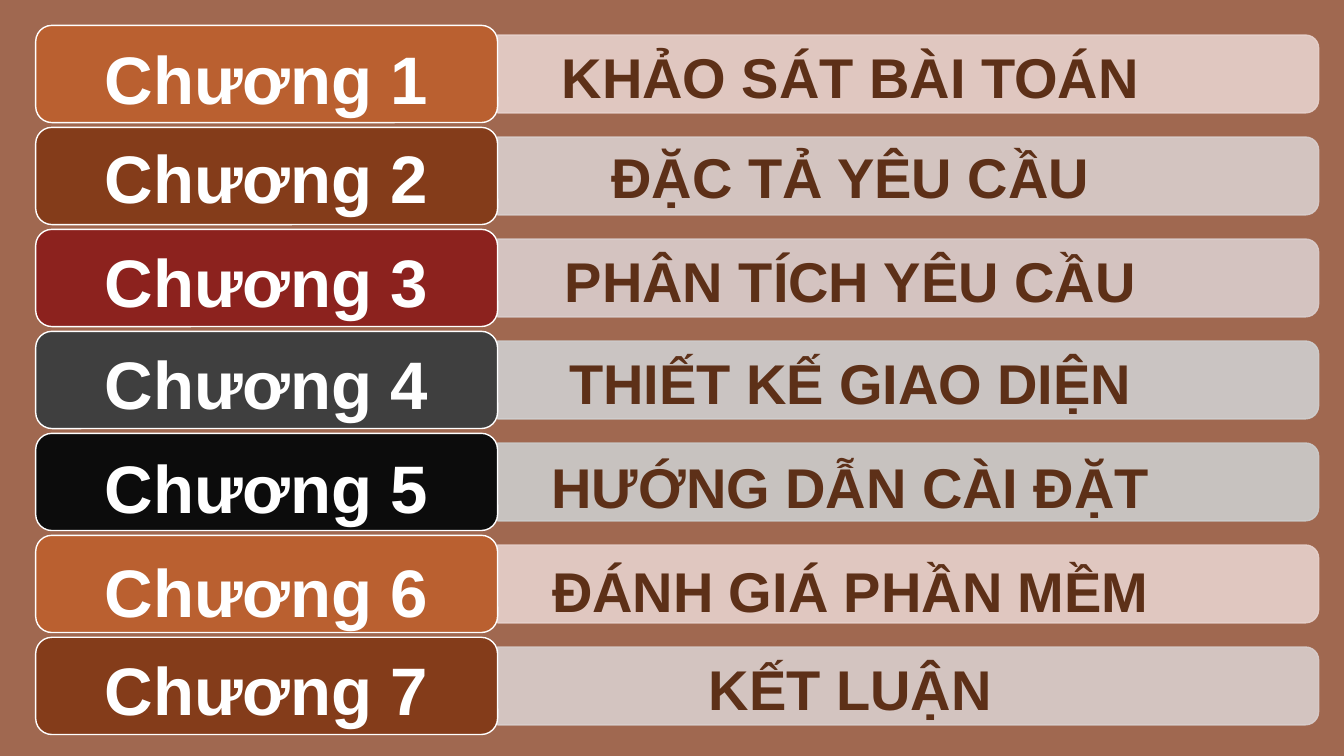
import pptx
import pptx.util
import pptx.dml.color
import pptx.enum.shapes
import pptx.enum.text
import pptx.oxml
import pptx.oxml.ns
from dataclasses import dataclass

Cm, Pt = pptx.util.Cm, pptx.util.Pt
RGB = pptx.dml.color.RGBColor.from_string
SHAPE = pptx.enum.shapes.MSO_SHAPE


@dataclass(frozen=True)
class Theme:
    font: str = "Arial"
    background: str = "A06850"
    white: str = "FFFFFF"
    title: str = "5D3018"
    label_size: int = 48
    title_size: int = 40
    # Label colour and matching bar tint, repeated down the list
    pairs: tuple = (("BA6030", "E7D2CD"), ("843C1A", "D9CECD"),
                    ("8C221E", "DACDCD"), ("3F3F3F", "CFCFCF"),
                    ("0C0C0C", "CCCCCC"))


THEME = Theme()

# Chapter title and the drop of its text below the row top (cm)
CHAPTERS = [
    ("KHẢO SÁT BÀI TOÁN", 0.15),
    ("ĐẶC TẢ YÊU CẦU", 0.08),
    ("PHÂN TÍCH YÊU CẦU", 0.13),
    ("THIẾT KẾ GIAO DIỆN", 0.15),
    ("HƯỚNG DẪN CÀI ĐẶT", 0.18),
    ("ĐÁNH GIÁ PHẦN MỀM", 0.23),
    ("KẾT LUẬN", 0.15),
]

ROW_PITCH = 2.57
ROW_HEIGHT = 2.45
LABEL_WIDTH = 11.64
BAR_HEIGHT = 1.96
TITLE_WIDTH = 17.78


def paint(sp, fill, line, opacity=None):
    sp.shadow.inherit = False
    sp.fill.solid()
    sp.fill.fore_color.rgb = RGB(fill)
    sp.line.color.rgb = RGB(line)
    sp.line.width = Pt(1)
    if opacity is not None:
        for clr in sp.element.spPr.iter(pptx.oxml.ns.qn("a:srgbClr")):
            alpha = pptx.oxml.parse_xml(
                f'<a:alpha {pptx.oxml.ns.nsdecls("a")} val="{opacity * 1000}"/>')
            clr.append(alpha)


def add_text(s, text, x, y, w, h, size, color):
    tf = s.shapes.add_textbox(Cm(x), Cm(y), Cm(w), Cm(h)).text_frame
    tf.word_wrap = True
    tf.auto_size = pptx.enum.text.MSO_AUTO_SIZE.SHAPE_TO_FIT_TEXT
    tf.vertical_anchor = pptx.enum.text.MSO_ANCHOR.MIDDLE
    tf.text = text
    p = tf.paragraphs[0]
    p.alignment = pptx.enum.text.PP_ALIGN.CENTER
    r = p.runs[0]
    r.font.name = THEME.font
    r.font.size = Pt(size)
    r.font.bold = True
    r.font.color.rgb = RGB(color)


def add_chapter(s, number, title, drop, x, y, w):
    label_color, tint = THEME.pairs[(number - 1) % len(THEME.pairs)]
    bar_x, bar_w = x + LABEL_WIDTH, w - LABEL_WIDTH

    # Bar: a shape with two round top corners, turned to round its right end
    middle_x, middle_y = bar_x + bar_w / 2, y + ROW_HEIGHT / 2
    bar = s.shapes.add_shape(
        SHAPE.ROUND_2_SAME_RECTANGLE, Cm(middle_x - BAR_HEIGHT / 2),
        Cm(middle_y - bar_w / 2), Cm(BAR_HEIGHT), Cm(bar_w))
    bar.rotation = 90
    paint(bar, tint, tint, opacity=90)

    # Label
    label = s.shapes.add_shape(SHAPE.ROUNDED_RECTANGLE, Cm(x), Cm(y),
                               Cm(LABEL_WIDTH), Cm(ROW_HEIGHT))
    paint(label, label_color, THEME.white)

    # Wording
    add_text(s, f"Chương {number}", x, y + drop, LABEL_WIDTH, 2.31,
             THEME.label_size, THEME.white)
    add_text(s, title, bar_x, y + drop + 0.16, TITLE_WIDTH, BAR_HEIGHT,
             THEME.title_size, THEME.title)


def add_chapter_list(s, x, y, w):
    for i, (title, drop) in enumerate(CHAPTERS):
        add_chapter(s, i + 1, title, drop, x, y + i * ROW_PITCH, w)


def main():
    prs = pptx.Presentation()
    prs.slide_width, prs.slide_height = Cm(33.87), Cm(19.05)
    s = prs.slides.add_slide(prs.slide_layouts[6])
    s.background.fill.solid()
    s.background.fill.fore_color.rgb = RGB(THEME.background)
    add_chapter_list(s, 0.9, 0.64, 32.33)
    prs.save("out.pptx")


if __name__ == "__main__":
    main()
